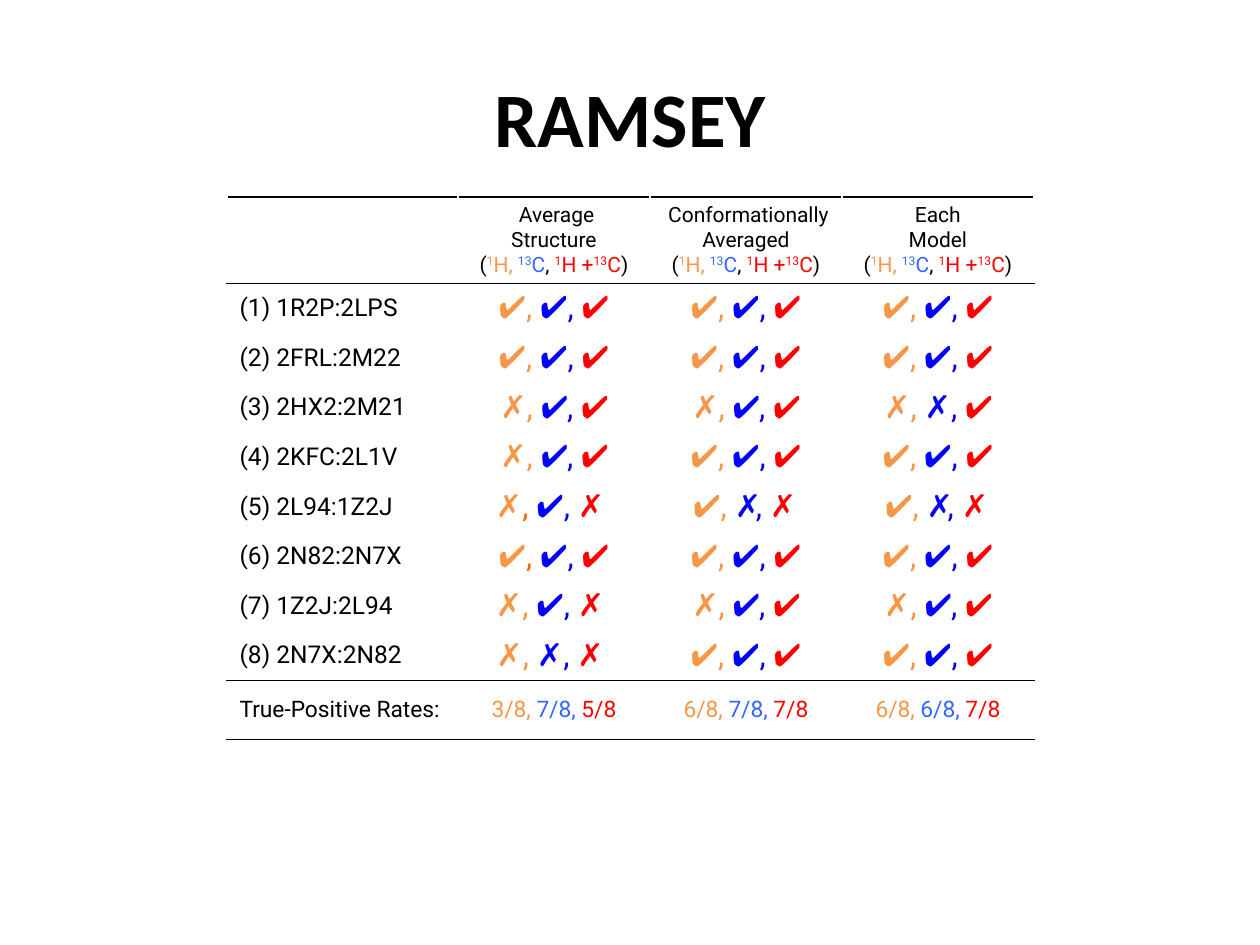
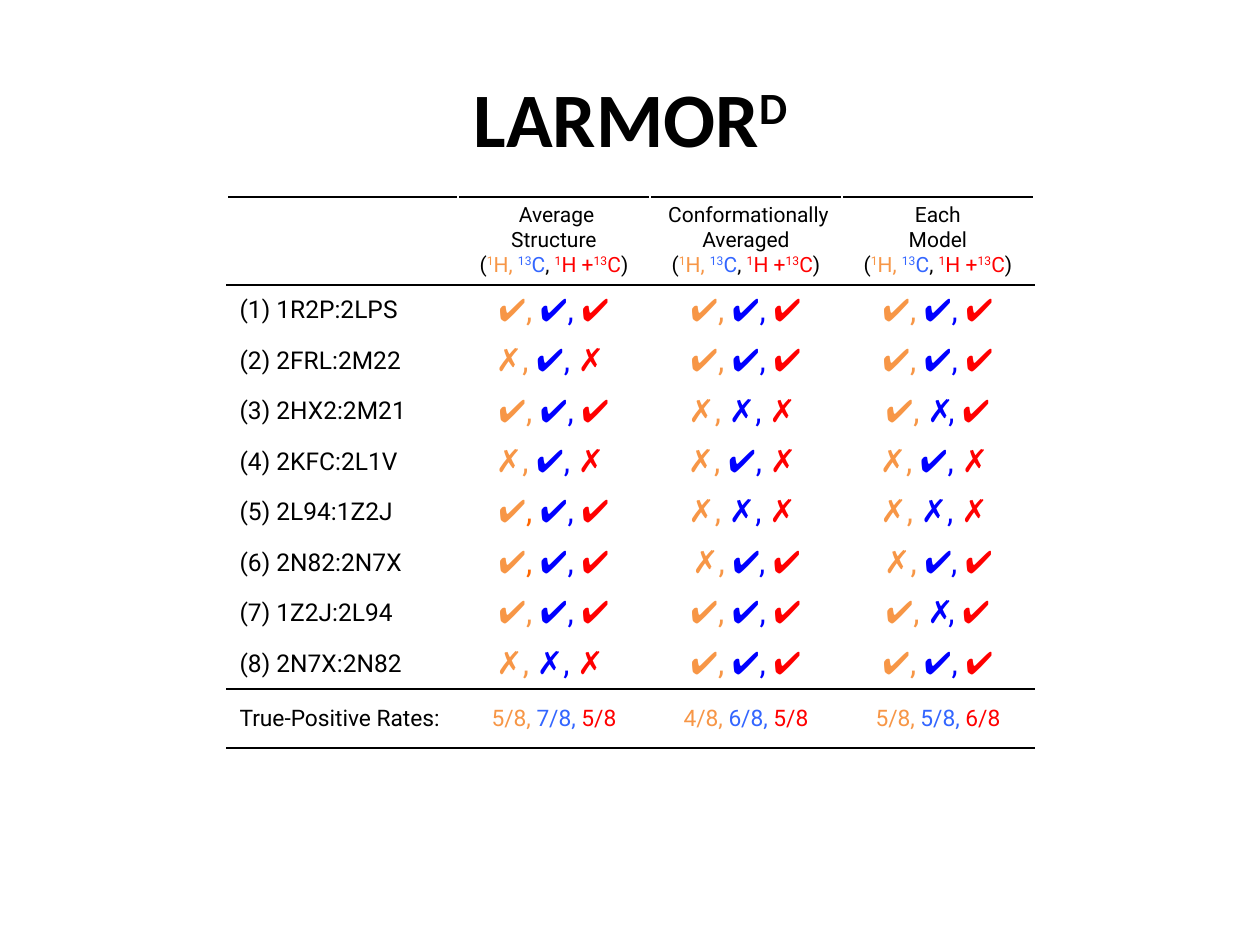
from lxml.etree import SubElement
from pptx import Presentation
from pptx.dml.color import RGBColor as Rgb
from pptx.enum.text import MSO_ANCHOR as Anchor, PP_ALIGN as Align
from pptx.oxml.ns import qn
from pptx.util import Emu, Pt

SCALE = 914400 / 126
COLORS = {"ink": "000000", "paper": "FFFFFF", "proton": "F79646", "comma": "FF6600",
          "carbon": "3366FF", "carbon_mark": "0000FF", "both": "FF0000"}
COLUMNS = [231, 192, 192, 192]
ROWS = [78] + [44] * 8 + [59]
RULES = {0, 1, 9, 10}
CONDITIONS = [(" Average", "Structure"), (" Conformationally", "Averaged"), ("Each", "Model")]
NUCLEI = [("(", "ink"), ("1", "proton", True), ("H, ", "proton"), ("13", "carbon", True),
          ("C", "carbon"), (", ", "ink"), ("1", "both", True), ("H +", "both"),
          ("13", "both", True), ("C", "both"), (")", "ink")]
PAIRS = ["1R2P:2LPS", "2FRL:2M22", "2HX2:2M21", "2KFC:2L1V",
         "2L94:1Z2J", "2N82:2N7X", "1Z2J:2L94", "2N7X:2N82"]
AMBER_COMMAS = {(5, 1), (6, 1)}
PREDICTORS = [
    ([("RAMSEY", "ink")],
     ["✔✔✔ ✔✔✔ ✔✔✔", "✔✔✔ ✔✔✔ ✔✔✔", "✗✔✔ ✗✔✔ ✗✗✔", "✗✔✔ ✔✔✔ ✔✔✔",
      "✗✔✗ ✔✗✗ ✔✗✗", "✔✔✔ ✔✔✔ ✔✔✔", "✗✔✗ ✗✔✔ ✗✔✔", "✗✗✗ ✔✔✔ ✔✔✔"]),
    ([("LARMOR", "ink"), ("D", "ink", True)],
     ["✔✔✔ ✔✔✔ ✔✔✔", "✗✔✗ ✔✔✔ ✔✔✔", "✔✔✔ ✗✗✗ ✔✗✔", "✗✔✗ ✗✔✗ ✗✔✗",
      "✔✔✔ ✗✗✗ ✗✗✗", "✔✔✔ ✗✔✔ ✗✔✔", "✔✔✔ ✔✔✔ ✔✗✔", "✗✗✗ ✔✔✔ ✔✔✔"]),
]


def px(length):
    return Emu(round(length * SCALE))


def mark_runs(marks, comma):
    proton, carbon, both = marks
    return [(proton, "proton"), (", ", comma), (f"{carbon}, ", "carbon_mark"),
            (both + (" " if both == "✗" else ""), "both")]


def rate_runs(results):
    proton, carbon, both = (f"{marks.count('✔')}/{len(marks)}" for marks in zip(*results))
    return [(f"{proton}, ", "proton"), (f"{carbon},", "carbon"), (f" {both}", "both")]


class Deck:
    def __init__(self):
        self.deck = Presentation()
        self.deck.slide_width, self.deck.slide_height = px(1260), px(945)
        self.slide = None

    def add_slide(self):
        self.slide = self.deck.slides.add_slide(self.deck.slide_layouts[6])

    def text(self, frame, lines, align, **font):
        for index, runs in enumerate(lines):
            paragraph = frame.paragraphs[0] if index == 0 else frame.add_paragraph()
            paragraph.alignment = align
            for words, color, *raised in runs:
                run = paragraph.add_run()
                run.text = words
                for key, value in font.items():
                    setattr(run.font, key, value)
                run.font.color.rgb = Rgb.from_string(COLORS[color])
                if raised:
                    run._r.get_or_add_rPr().set("baseline", "30000")

    def title(self, runs):
        frame = self.slide.shapes.add_textbox(px(227), px(38), px(807), px(157)).text_frame
        for key, value in {"word_wrap": True, "vertical_anchor": Anchor.MIDDLE}.items():
            setattr(frame, key, value)
        self.text(frame, [runs], Align.CENTER, name="Calibri", size=Pt(44), bold=True)

    def table(self):
        table = self.slide.shapes.add_table(len(ROWS), len(COLUMNS), px(227), px(197),
                                            px(sum(COLUMNS)), px(sum(ROWS))).table
        for key in ("first_row", "horz_banding"):
            setattr(table, key, False)
        for column, width in zip(table.columns, COLUMNS):
            column.width = px(width)
        for index, (row, height) in enumerate(zip(table.rows, ROWS)):
            row.height = px(height)
            for cell in row.cells:
                self.borders(cell, index)
                cell.fill.background()
        return table

    def borders(self, cell, row):
        sides = {"L": "paper", "R": "paper",
                 "T": "ink" if row in RULES else "paper",
                 "B": "ink" if row + 1 in RULES else "paper"}
        properties = cell._tc.get_or_add_tcPr()
        for side, color in sides.items():
            line = SubElement(properties, qn(f"a:ln{side}"), w=str(Pt(1)))
            SubElement(SubElement(line, qn("a:solidFill")), qn("a:srgbClr"), val=COLORS[color])

    def cell(self, cell, lines, size, align=Align.CENTER, anchor=Anchor.MIDDLE):
        cell.vertical_anchor = anchor
        self.text(cell.text_frame, lines, align, name="Roboto", size=Pt(size))

    def results(self, outcomes):
        table = self.table()
        for column, condition in enumerate(CONDITIONS, 1):
            heading = [[(words, "ink")] for words in condition] + [NUCLEI]
            self.cell(table.cell(0, column), heading, 12, anchor=Anchor.TOP)
        grid = [outcome.split() for outcome in outcomes]
        for row, (pair, trials) in enumerate(zip(PAIRS, grid), 1):
            self.cell(table.cell(row, 0), [[(f"({row}) {pair}", "ink")]], 14, Align.LEFT)
            for column, marks in enumerate(trials, 1):
                comma = "comma" if (row, column) in AMBER_COMMAS else "proton"
                self.cell(table.cell(row, column), [mark_runs(marks, comma)], 18)
        last = len(ROWS) - 1
        self.cell(table.cell(last, 0), [[("True-Positive Rates:", "ink")]], 13, Align.LEFT)
        for column, trials in enumerate(zip(*grid), 1):
            self.cell(table.cell(last, column), [rate_runs(trials)], 13)


def main():
    deck = Deck()
    for predictor, outcomes in PREDICTORS:
        deck.add_slide()
        deck.results(outcomes)
        deck.title(predictor)
    deck.deck.save("out.pptx")


if __name__ == "__main__":
    main()
